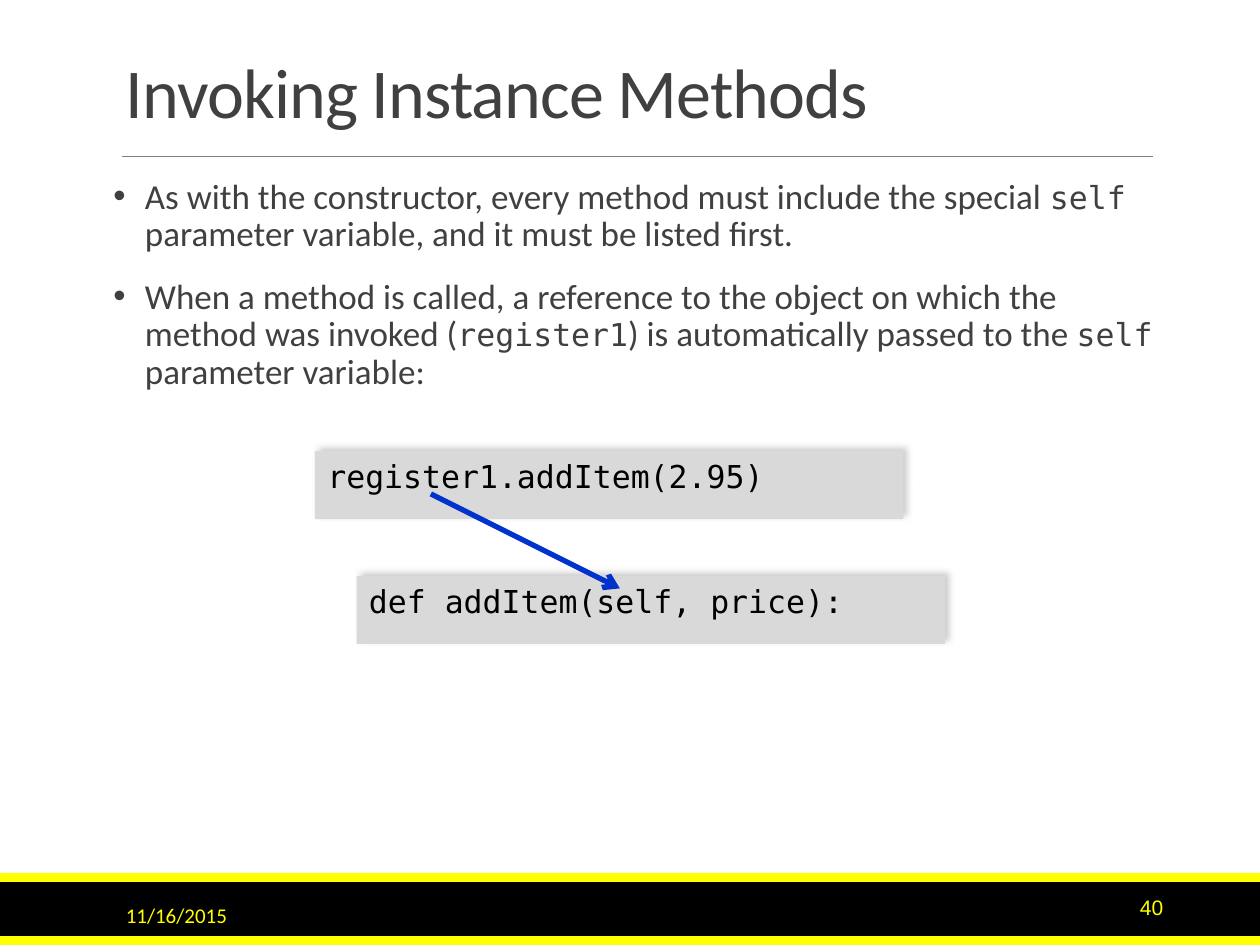
from dataclasses import dataclass

from lxml import etree
from pptx import Presentation
from pptx.dml.color import RGBColor
from pptx.enum.shapes import MSO_CONNECTOR, MSO_SHAPE
from pptx.enum.text import MSO_ANCHOR, PP_ALIGN
from pptx.oxml.ns import qn
from pptx.util import Inches, Pt


@dataclass(frozen=True)
class Theme:
    ink: str = "404040"
    rule: str = "808080"
    black: str = "000000"
    accent: str = "FFFF00"
    code_fill: str = "D9D9D9"
    arrow: str = "0033CC"
    font: str = "Calibri"
    number_font: str = "Arial"
    code_font: str = "DejaVu Sans Mono"
    title_size: int = 40
    body_size: int = 20
    code_size: int = 18
    footer_size: int = 12


THEME = Theme()
BULLETS = [
    [("As with the constructor, every method must include the special ", False),
     ("self ", True),
     ("parameter variable, and it must be listed first.", False)],
    [("When a method is called, a reference to the object on which the method was invoked (", False),
     ("register1", True),
     (") is automatically passed to the ", False),
     ("self", True),
     (" parameter variable:", False)],
]


def style_run(run, font, size, color):
    run.font.name = font
    run.font.size = Pt(size)
    run.font.color.rgb = RGBColor.from_string(color)


def set_indent(paragraph, amount):
    """Hang the first line back by the given left margin."""
    properties = paragraph._p.get_or_add_pPr()
    properties.set("marL", str(Inches(amount)))
    properties.set("indent", str(-Inches(amount)))
    return properties


def add_text_box(slide, box, anchor=MSO_ANCHOR.TOP):
    text_frame = slide.shapes.add_textbox(*map(Inches, box)).text_frame
    text_frame.word_wrap = True
    text_frame.vertical_anchor = anchor
    return text_frame


def add_label(slide, box, text, font, size, color, anchor=MSO_ANCHOR.MIDDLE):
    paragraph = add_text_box(slide, box, anchor).paragraphs[0]
    paragraph.text = text
    style_run(paragraph.runs[0], font, size, color)
    return paragraph


def add_rectangle(shapes, box, color):
    shape = shapes.add_shape(MSO_SHAPE.RECTANGLE, *map(Inches, box))
    shape.shadow.inherit = False
    shape.fill.solid()
    shape.fill.fore_color.rgb = RGBColor.from_string(color)
    shape.line.fill.background()
    return shape


def add_line(shapes, start, end, color, width):
    line = shapes.add_connector(MSO_CONNECTOR.STRAIGHT, *map(Inches, start + end))
    line.line.color.rgb = RGBColor.from_string(color)
    line.line.width = Pt(width)
    etree.SubElement(line._element.spPr, qn("a:effectLst"))
    return line


def add_title(slide, box):
    left, top, width, height = box
    paragraph = add_label(slide, box, "Invoking Instance Methods", THEME.font,
                          THEME.title_size, THEME.ink, MSO_ANCHOR.BOTTOM)
    paragraph.line_spacing = 0.85
    paragraph.runs[0]._r.get_or_add_rPr().set("spc", "-50")
    rule_top = top + height + 0.14
    add_line(slide.shapes, (left + 0.07, rule_top), (left + width, rule_top), THEME.rule, 0.5)


def add_bullets(slide, box):
    text_frame = add_text_box(slide, box)
    text_frame.margin_left = text_frame.margin_right = 0
    for index, parts in enumerate(BULLETS):
        paragraph = text_frame.add_paragraph() if index else text_frame.paragraphs[0]
        properties = set_indent(paragraph, 0.25)
        etree.SubElement(properties, qn("a:buFont"), typeface="Arial")
        etree.SubElement(properties, qn("a:buChar"), char="•")
        paragraph.line_spacing = 0.9
        paragraph.space_before = Pt(12 if index else 0)
        paragraph.space_after = Pt(2)
        for text, is_code in parts:
            run = paragraph.add_run()
            run.text = text
            if is_code:
                style_run(run, THEME.code_font, THEME.code_size, THEME.ink)
            else:
                style_run(run, THEME.font, THEME.body_size, THEME.ink)


def add_code_box(shapes, box, code):
    shape = add_rectangle(shapes, box, THEME.code_fill)
    effects = shape._element.spPr.find(qn("a:effectLst"))
    shadow = etree.SubElement(effects, qn("a:outerShdw"), blurRad=str(Pt(4)), dist=str(Pt(3)),
                              dir=str(315 * 60000), algn="bl", rotWithShape="0")
    color = etree.SubElement(shadow, qn("a:srgbClr"), val=THEME.rule)
    etree.SubElement(color, qn("a:alpha"), val="40000")
    text_frame = shape.text_frame
    text_frame.vertical_anchor = MSO_ANCHOR.TOP
    paragraph = text_frame.paragraphs[0]
    paragraph.text = code
    paragraph.alignment = PP_ALIGN.LEFT
    set_indent(paragraph, 0.38)
    style_run(paragraph.runs[0], THEME.code_font, THEME.code_size, THEME.black)


def add_call_diagram(slide, box):
    """Show the call above the definition, with an arrow from object to self."""
    left, top, width, height = box
    shapes = slide.shapes.add_group_shape().shapes
    shift, box_height = 0.33, 0.54
    box_width = width - shift
    add_code_box(shapes, (left, top, box_width, box_height), "register1.addItem(2.95)")
    add_code_box(shapes, (left + shift, top + height - box_height, box_width, box_height),
                 "def addItem(self, price):")
    arrow = add_line(shapes, (left + 0.92, top + 0.34), (left + 2.42, top + 1.09), THEME.arrow, 3)
    etree.SubElement(arrow.line._get_or_add_ln(), qn("a:tailEnd"), type="arrow")


def add_footer(slide, box):
    left, top, width, height = box
    stripe = 0.07
    add_rectangle(slide.shapes, box, THEME.black)
    for stripe_top in (top - stripe, top + height - stripe):
        add_rectangle(slide.shapes, (left, stripe_top, width, stripe), THEME.accent)
    add_label(slide, (left + 0.9, top + 0.06, 2.03, 0.4), "11/16/2015",
              THEME.font, THEME.footer_size, THEME.accent)
    number = add_label(slide, (left + 8.25, top, 1.08, 0.4), "40",
                       THEME.number_font, THEME.footer_size, THEME.accent)
    number.alignment = PP_ALIGN.RIGHT


def main():
    presentation = Presentation()
    presentation.slide_width = Inches(10)
    presentation.slide_height = Inches(7.5)
    slide = presentation.slides.add_slide(presentation.slide_layouts[6])
    add_footer(slide, (0, 7, 10, 0.5))
    add_title(slide, (0.9, 0.31, 8.25, 0.79))
    add_bullets(slide, (0.9, 1.37, 8.25, 5.05))
    add_call_diagram(slide, (2.5, 3.58, 5, 1.53))
    presentation.save("out.pptx")


if __name__ == "__main__":
    main()
